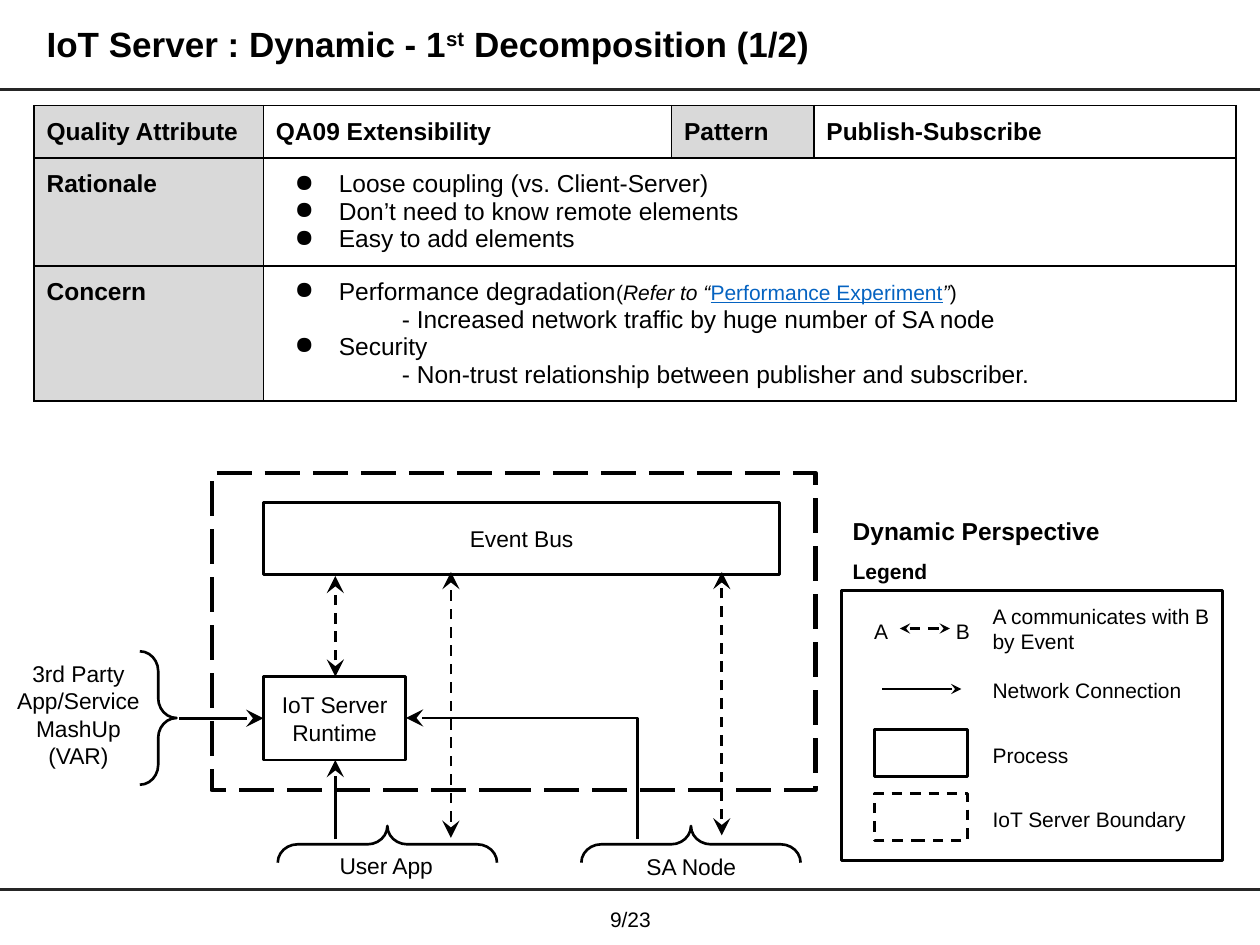
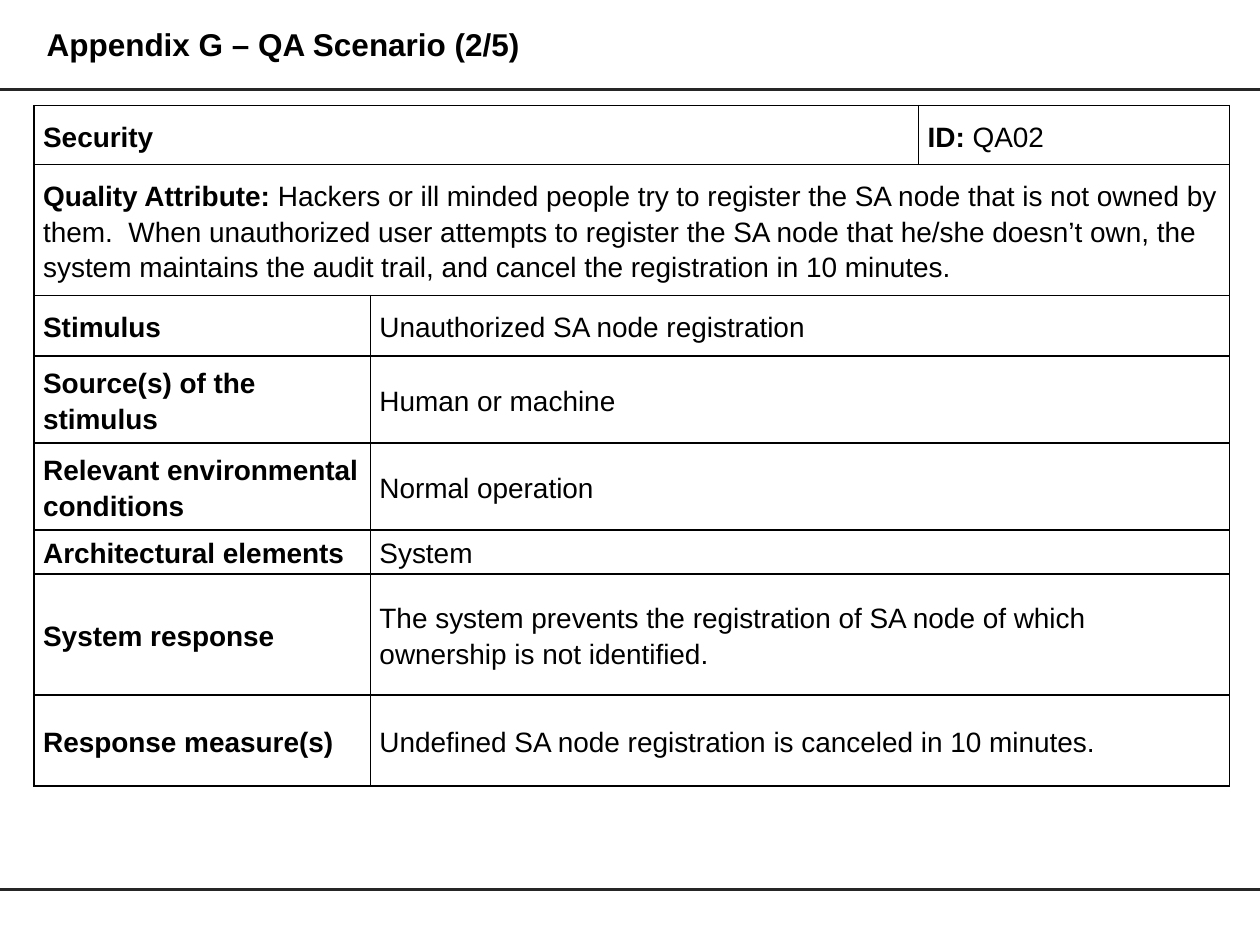
from dataclasses import dataclass

from lxml import etree
from pptx import Presentation
from pptx.dml.color import RGBColor
from pptx.enum.dml import MSO_LINE
from pptx.enum.shapes import MSO_CONNECTOR, MSO_SHAPE
from pptx.enum.text import MSO_ANCHOR, MSO_AUTO_SIZE, PP_ALIGN
from pptx.oxml.ns import qn
from pptx.util import Cm, Pt

BLACK = RGBColor(0x00, 0x00, 0x00)
WHITE = RGBColor(0xFF, 0xFF, 0xFF)
BAND = RGBColor(0x26, 0x26, 0x26)
HEADING_GRAY = RGBColor(0xD9, 0xD9, 0xD9)
LINK_BLUE = RGBColor(0x05, 0x63, 0xC1)
FONT = "Arial"
LEFT, CENTER = PP_ALIGN.LEFT, PP_ALIGN.CENTER
TOP, MIDDLE = MSO_ANCHOR.TOP, MSO_ANCHOR.MIDDLE
DASH, LONG_DASH = MSO_LINE.DASH, MSO_LINE.LONG_DASH
STRAIGHT, ELBOW = MSO_CONNECTOR.STRAIGHT, MSO_CONNECTOR.ELBOW
RECTANGLE, RIGHT_BRACE = MSO_SHAPE.RECTANGLE, MSO_SHAPE.RIGHT_BRACE
NO_AUTOFIT = MSO_AUTO_SIZE.NONE

SLIDE_WIDTH, SLIDE_HEIGHT = 25.4, 19.05
MARGIN = 0.69
TABLE_TOP = 2.13
BAND_TOPS = (1.8, 17.93)
INSET = (0.25, 0.25, 0.25, 0.25)
FLAT_INSET = (0.25, 0.13, 0.25, 0.13)
LEGEND_TEXT_LEFT, LEGEND_TEXT_WIDTH = 19.76, 5.05
LEGEND_SWATCH_LEFT = 17.63


@dataclass(frozen=True)
class Span:
    text: str
    size: float | None = None
    bold: bool | None = None
    italic: bool | None = None
    link: bool = False
    superscript: bool = False


@dataclass(frozen=True)
class Para:
    spans: tuple[Span, ...]
    size: float
    bold: bool = False
    spacing: float = 1.0
    align: PP_ALIGN = LEFT
    bullet: bool = False
    indent: float = 0


@dataclass(frozen=True)
class Label:
    text: str
    left: float
    top: float
    width: float
    height: float = 0.94
    size: float = 13
    align: PP_ALIGN = CENTER
    anchor: MSO_ANCHOR = MIDDLE
    inset: tuple[float, ...] = INSET


@dataclass(frozen=True)
class Box:
    left: float
    top: float
    width: float
    height: float
    text: str = ""
    fill: RGBColor | None = WHITE
    weight: float = 1.5
    dash: MSO_LINE | None = None


@dataclass(frozen=True)
class Brace:
    left: float
    top: float
    height: float
    rotation: float = 0


@dataclass(frozen=True)
class Arrow:
    x1: float
    y1: float
    x2: float
    y2: float
    event: bool = False
    head_size: str = "lg"


@dataclass(frozen=True)
class Cell:
    paras: tuple[Para, ...]
    span: int = 1
    fill: RGBColor = WHITE


def write(frame, paras: tuple[Para, ...], inset=INSET, anchor=TOP) -> None:
    frame.word_wrap = True
    frame.auto_size = NO_AUTOFIT
    frame.vertical_anchor = anchor
    frame.margin_left, frame.margin_top, frame.margin_right, frame.margin_bottom = map(Cm, inset)
    fill_paragraphs(frame, paras)


def fill_paragraphs(frame, paras: tuple[Para, ...]) -> None:
    for index, para in enumerate(paras):
        paragraph = frame.add_paragraph() if index else frame.paragraphs[0]
        paragraph.alignment = para.align
        paragraph.line_spacing = para.spacing
        properties = paragraph._p.get_or_add_pPr()
        if para.indent:
            properties.set("marL", str(Cm(para.indent)))
        if para.bullet:
            properties.set("indent", str(-Cm(0.89)))
            etree.SubElement(properties, qn("a:buChar")).set("char", "●")
        font = paragraph.font
        font.name, font.size, font.bold = FONT, Pt(para.size), para.bold
        font.color.rgb = BLACK
        for span in para.spans:
            add_span(paragraph, span)


def add_span(paragraph, span: Span) -> None:
    *before, last = span.text.split("\n")
    for line in before:
        paragraph.add_run().text = line
        paragraph.add_line_break()
    run = paragraph.add_run()
    run.text = last
    if span.size:
        run.font.size = Pt(span.size)
    if span.bold is not None:
        run.font.bold = span.bold
    if span.italic is not None:
        run.font.italic = span.italic
    if span.link:
        run.font.underline = True
        run.font.color.rgb = LINK_BLUE
    if span.superscript:
        run._r.get_or_add_rPr().set("baseline", "30000")


def add_label(slide, label: Label) -> None:
    area = map(Cm, (label.left, label.top, label.width, label.height))
    para = Para((Span(label.text),), label.size, align=label.align)
    write(slide.shapes.add_textbox(*area).text_frame, (para,), label.inset, label.anchor)


def add_box(slide, box: Box) -> None:
    area = map(Cm, (box.left, box.top, box.width, box.height))
    shape = slide.shapes.add_shape(RECTANGLE, *area)
    shape.shadow.inherit = False
    if box.fill is None:
        shape.fill.background()
    else:
        shape.fill.solid()
        shape.fill.fore_color.rgb = box.fill
    shape.line.color.rgb, shape.line.width = BLACK, Pt(box.weight)
    if box.dash:
        shape.line.dash_style = box.dash
    if box.text:
        write(shape.text_frame, (Para((Span(box.text),), 13, align=CENTER),), anchor=MIDDLE)


def add_brace(slide, brace: Brace) -> None:
    area = map(Cm, (brace.left, brace.top, 0.74, brace.height))
    shape = slide.shapes.add_shape(RIGHT_BRACE, *area)
    shape.shadow.inherit = False
    shape.adjustments[0] = 0.54
    shape.rotation = brace.rotation
    shape.fill.background()
    shape.line.color.rgb, shape.line.width = BLACK, Pt(1.5)


def add_line(slide, kind, x1, y1, x2, y2, color=BLACK, weight=1.5):
    line = slide.shapes.add_connector(kind, Cm(x1), Cm(y1), Cm(x2), Cm(y2))
    line.line.color.rgb, line.line.width = color, Pt(weight)
    etree.SubElement(line._element.spPr, qn("a:effectLst"))
    return line


def add_arrow(slide, arrow: Arrow, kind=STRAIGHT):
    line = add_line(slide, kind, arrow.x1, arrow.y1, arrow.x2, arrow.y2)
    if arrow.event:
        line.line.dash_style = DASH
    outline = line._element.spPr.find(qn("a:ln"))
    for end in ("a:headEnd", "a:tailEnd") if arrow.event else ("a:tailEnd",):
        tip = etree.SubElement(outline, qn(end))
        tip.set("type", "stealth")
        tip.set("w", arrow.head_size)
        tip.set("len", arrow.head_size)
    return line


def add_corner_arrow(slide, arrow: Arrow) -> None:
    properties = add_arrow(slide, arrow, ELBOW)._element.spPr
    properties.find(qn("a:prstGeom")).set("prst", "bentConnector2")
    properties.find(qn("a:xfrm")).set("rot", "16200000")


def add_table(slide, columns, heights, rows, inset, anchor) -> None:
    area = map(Cm, (MARGIN, TABLE_TOP, sum(columns), sum(heights)))
    table = slide.shapes.add_table(len(rows), len(columns), *area).table
    table.first_row = table.horz_banding = False
    for column, width in zip(table.columns, columns):
        column.width = Cm(width)
    for row_index, (row, height) in enumerate(zip(rows, heights)):
        table.rows[row_index].height = Cm(height)
        column_index = 0
        for content in row:
            cell = table.cell(row_index, column_index)
            last = column_index + content.span - 1
            if content.span > 1:
                cell.merge(table.cell(row_index, last))
            for covered in range(column_index, last + 1):
                style_cell(table.cell(row_index, covered), content.fill)
            cell.vertical_anchor = anchor
            cell.margin_left, cell.margin_top, cell.margin_right, cell.margin_bottom = map(Cm, inset)
            fill_paragraphs(cell.text_frame, content.paras)
            column_index = last + 1


def style_cell(cell, fill: RGBColor) -> None:
    properties = cell._tc.get_or_add_tcPr()
    for side in ("a:lnL", "a:lnR", "a:lnT", "a:lnB"):
        border = etree.SubElement(properties, qn(side))
        border.set("w", str(Pt(1)))
        paint = etree.SubElement(border, qn("a:solidFill"))
        etree.SubElement(paint, qn("a:srgbClr")).set("val", str(BLACK))
    cell.fill.solid()
    cell.fill.fore_color.rgb = fill


def start_slide(deck, title: Para, width: float, inset):
    slide = deck.slides.add_slide(deck.slide_layouts[5])
    for top in BAND_TOPS:
        add_line(slide, STRAIGHT, 0, top, SLIDE_WIDTH, top, BAND, 1.75)
    heading = slide.shapes.title
    heading.left, heading.top, heading.width, heading.height = map(Cm, (MARGIN, 0.25, width, 1.35))
    write(heading.text_frame, (title,), inset, MIDDLE)
    return slide


def build_decomposition(deck) -> None:
    title = Para((Span("IoT Server : Dynamic - 1"), Span("st", superscript=True),
                  Span(" Decomposition (1/2)")), 20, True, 0.9)
    slide = start_slide(deck, title, 16.41, FLAT_INSET)

    def strong(text: str, fill: RGBColor = WHITE) -> Cell:
        return Cell((Para((Span(text),), 14, True),), fill=fill)

    def point(*spans: Span) -> Para:
        return Para(spans, 14, bullet=True, indent=1.27)

    def detail(text: str) -> Para:
        return Para((Span(text),), 14, indent=2.54)

    rationale = tuple(point(Span(text)) for text in (
        "Loose coupling (vs. Client-Server)", "Don’t need to know remote elements", "Easy to add elements"))
    concern = (
        point(Span("Performance degradation"), Span("(", 12), Span("Refer to “", 12, italic=True),
              Span("Performance Experiment", 12, link=True), Span("”", 12, italic=True), Span(")", 12)),
        detail("- Increased network traffic by huge number of SA node"),
        point(Span("Security")),
        detail("- Non-trust relationship between publisher and subscriber."))
    add_table(slide, (4.62, 8.23, 2.87, 8.51), (1.06, 2.17, 2.72), (
        (strong("Quality Attribute", HEADING_GRAY), strong("QA09 Extensibility"),
         strong("Pattern", HEADING_GRAY), strong("Publish-Subscribe")),
        (strong("Rationale", HEADING_GRAY), Cell(rationale, 3)),
        (strong("Concern", HEADING_GRAY), Cell(concern, 3))), INSET, TOP)

    for box in (
            Box(16.97, 11.91, 7.67, 5.44, fill=None),
            Box(5.31, 13.64, 2.87, 1.68, "IoT Server Runtime"),
            Box(5.31, 10.13, 10.41, 1.45, "Event Bus"),
            Box(LEGEND_SWATCH_LEFT, 14.71, 1.88, 0.94),
            Box(LEGEND_SWATCH_LEFT, 16, 1.88, 0.94, dash=DASH),
            Box(4.27, 9.53, 12.17, 6.4, fill=None, weight=2.5, dash=LONG_DASH)):
        add_box(slide, box)
    for arrow in (
            Arrow(14.55, 16.84, 14.55, 11.53, event=True),
            Arrow(9.09, 16.89, 9.09, 11.53, event=True),
            Arrow(6.76, 13.64, 6.76, 11.61, event=True),
            Arrow(6.76, 16.92, 6.76, 15.32),
            Arrow(3.61, 14.48, 5.31, 14.48),
            Arrow(17.78, 13.89, 19.38, 13.89, head_size="med"),
            Arrow(18.14, 12.67, 19.15, 12.67, event=True, head_size="med")):
        add_arrow(slide, arrow)
    add_corner_arrow(slide, Arrow(9.3, 18.03, 11.74, 13.36))
    for brace in (Brace(2.82, 13.13, 2.69), Brace(7.44, 14.81, 4.42, 270), Brace(13.56, 14.81, 4.42, 270)):
        add_brace(slide, brace)
    for label in (
            Label("3rd Party App/Service MashUp\n(VAR)", 0.03, 13.16, 3.1, 2.49),
            Label("User App", 6.17, 16.97, 3.23),
            Label("SA Node", 12.5, 16.99, 2.87),
            Label("A", 17.37, 12.22, 0.74, size=12, align=LEFT, anchor=TOP),
            Label("B", 19.02, 12.22, 0.74, size=12, align=LEFT, anchor=TOP),
            Label("9/23", 11.73, 18.14, 1.96, 0.79, 12, inset=FLAT_INSET)):
        add_label(slide, label)
    for text, top in (("A communicates with B by Event", 11.91), ("Network Connection", 13.41),
                      ("Process", 14.71), ("IoT Server Boundary", 16)):
        add_label(slide, Label(text, LEGEND_TEXT_LEFT, top, LEGEND_TEXT_WIDTH, size=12, align=LEFT, anchor=TOP))
    perspective = slide.shapes.add_textbox(Cm(16.94), Cm(9.86), Cm(7.06), Cm(1.68))
    write(perspective.text_frame, (Para((Span("Dynamic Perspective"),), 14, True, 1.5),
                                   Para((Span("Legend"),), 12, True, 1.5)))


def build_scenario(deck) -> None:
    title = Para((Span("Appendix G – QA Scenario (2/5)"),), 18, True, 0.9)
    slide = start_slide(deck, title, 24.21, INSET)

    def entry(heading: str, text: str = "", span: int = 1) -> Cell:
        spans = tuple(Span(part, bold=bold) for part, bold in ((heading, True), (text, False)) if part)
        return Cell((Para(spans, 16, spacing=1.15),), span)

    requirement = (" Hackers or ill minded people try to register the SA node that is not owned by them.  "
                   "When unauthorized user attempts to register the SA node that he/she doesn’t own, "
                   "the system maintains the audit trail, and cancel the registration in 10 minutes.")
    scenario = (
        ("Stimulus", "Unauthorized SA node registration"),
        ("Source(s) of the stimulus", "Human or machine"),
        ("Relevant environmental conditions", "Normal operation"),
        ("Architectural elements", "System"),
        ("System response", "The system prevents the registration of SA node of which ownership is not identified."),
        ("Response measure(s)", "Undefined SA node registration is canceled in 10 minutes."))
    rows = ((entry("Security", span=2), entry("ID:", " QA02")),
            (entry("Quality Attribute:", requirement, 3),),
            *((entry(name), entry("", text, 2)) for name, text in scenario))
    add_table(slide, (6.78, 11.05, 6.27), (1.19, 2.64, 1.22, 1.75, 1.75, 0.89, 2.44, 1.83),
              rows, (0.18, 0, 0.18, 0), MIDDLE)


def main() -> None:
    deck = Presentation()
    deck.slide_width, deck.slide_height = Cm(SLIDE_WIDTH), Cm(SLIDE_HEIGHT)
    build_decomposition(deck)
    build_scenario(deck)
    deck.save("out.pptx")


if __name__ == "__main__":
    main()
